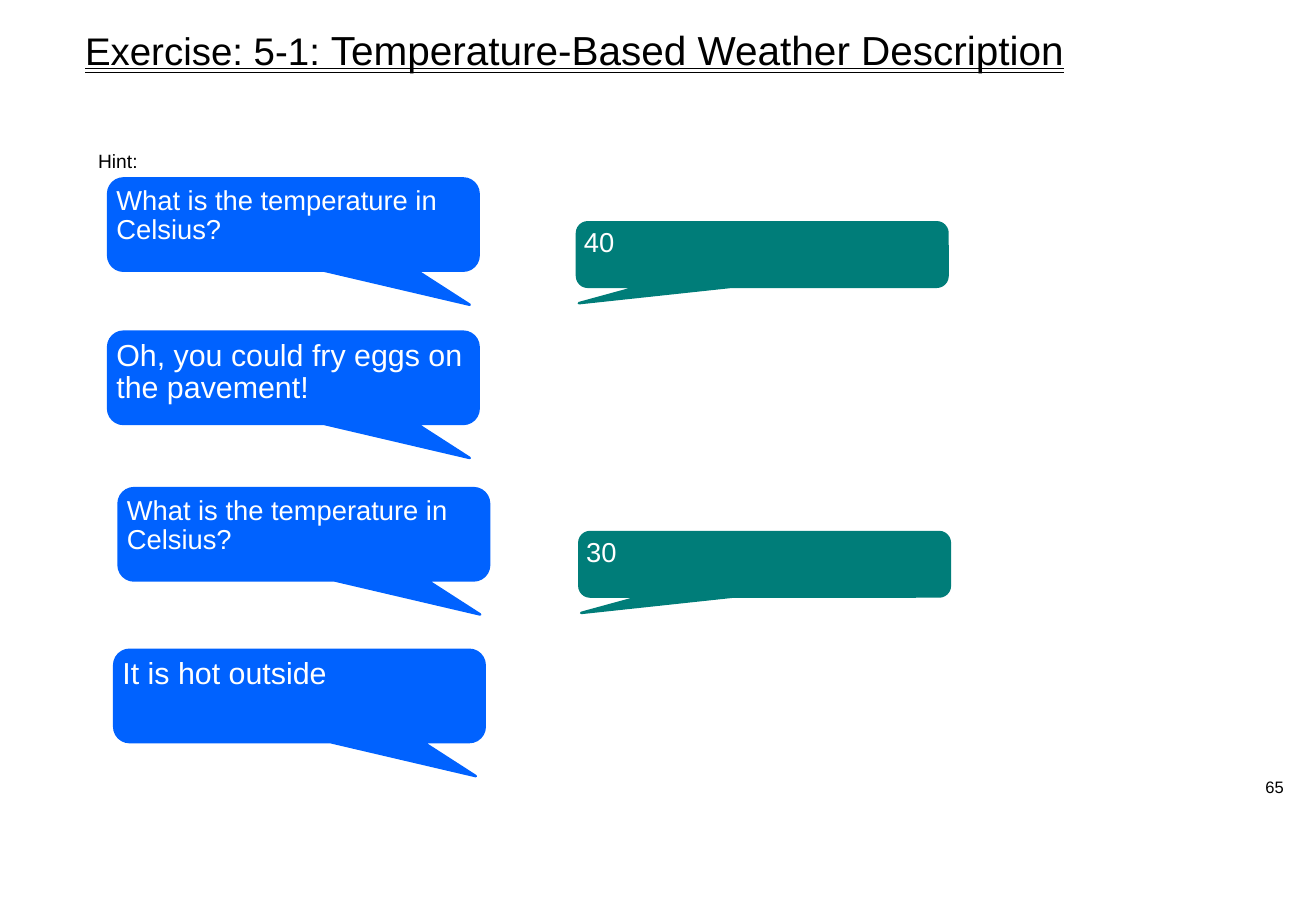
"""Build the temperature-based weather description exercise slide."""
import pptx
import pptx.dml.color
import pptx.enum.shapes
import pptx.enum.text
import pptx.util
from dataclasses import dataclass

Pt = pptx.util.Pt
ALIGN = pptx.enum.text.PP_ALIGN
ANCHOR = pptx.enum.text.MSO_ANCHOR

TITLE = ["Exercise: 5-1: ", "Temperature-Based Weather Description"]
HINT = "Hint:"
PAGE_NUMBER = "65"
QUESTION = "What is the temperature in Celsius?"
DIALOGUE = [
    ("prompt", QUESTION, 64.1, 105.8),
    ("answer", "40", 342, 131.8),
    ("reply", "Oh, you could fry eggs on the pavement!", 64.1, 196.6),
    ("prompt", QUESTION, 70.3, 289.4),
    ("answer", "30", 343.4, 315.4),
    ("reply", "It is hot outside", 67.7, 385.2),
]


@dataclass(frozen=True)
class Theme:
    font: str = "Arial"
    ink: str = "000000"
    paper: str = "FFFFFF"
    computer: str = "0062FF"
    user: str = "007D79"
    title_sizes: tuple = (22.8, 24)
    dialogue_size: float = 16.2
    reply_size: float = 18
    hint_size: float = 11.4
    number_size: float = 9.8
    line_spacing: float = 0.9


THEME = Theme()
BUBBLE_WIDTH = 219.6
COMPUTER_BUBBLE = {"color": THEME.computer, "height": 54.7, "tail": (0.476, 0.869, 0.167)}
USER_BUBBLE = {"color": THEME.user, "height": 38.2, "tail": (-0.495, 0.755, 0.167)}
BUBBLES = {
    "prompt": {**COMPUTER_BUBBLE, "size": THEME.dialogue_size},
    "reply": {**COMPUTER_BUBBLE, "size": THEME.reply_size},
    "answer": {**USER_BUBBLE, "size": THEME.dialogue_size},
}


def rgb(color):
    """Return a colour object for a hex string."""
    return pptx.dml.color.RGBColor.from_string(color)


def apply(target, values):
    """Set each named value on the target."""
    for name, value in values.items():
        setattr(target, name, value)


def write(shape, runs, color, inset=None, anchor=ANCHOR.TOP, align=ALIGN.LEFT,
          spacing=None, wrap=True, underline=None):
    """Write one paragraph of (text, size) runs into a shape."""
    tf = shape.text_frame
    apply(tf, {"word_wrap": wrap, "vertical_anchor": anchor,
               "auto_size": pptx.enum.text.MSO_AUTO_SIZE.NONE})
    if inset is not None:
        sides = ("left", "top", "right", "bottom")
        apply(tf, {f"margin_{side}": Pt(inset) for side in sides})
    p = tf.paragraphs[0]
    apply(p, {"alignment": align, "line_spacing": spacing})
    for text, size in runs:
        r = p.add_run()
        r.text = text
        apply(r.font, {"name": THEME.font, "size": Pt(size), "underline": underline})
        r.font.color.rgb = rgb(color)


def add_bubble(s, kind, text, left, top):
    """Add one speech bubble of the dialogue."""
    style = BUBBLES[kind]
    sp = s.shapes.add_shape(
        pptx.enum.shapes.MSO_SHAPE.ROUNDED_RECTANGULAR_CALLOUT,
        Pt(left), Pt(top), Pt(BUBBLE_WIDTH), Pt(style["height"]))
    for i, value in enumerate(style["tail"]):
        sp.adjustments[i] = value
    sp.shadow.inherit = False
    sp.fill.solid()
    for part in (sp.fill.fore_color, sp.line.color):
        part.rgb = rgb(style["color"])
    sp.line.width = Pt(1.5)
    write(sp, [(text, style["size"])], THEME.paper, inset=2.2, spacing=THEME.line_spacing)


def main():
    """Build and save the slide."""
    prs = pptx.Presentation()
    apply(prs, {"slide_width": Pt(780), "slide_height": Pt(540)})
    s = prs.slides.add_slide(prs.slide_layouts.get_by_name("Title Only"))

    title = s.shapes.title
    apply(title, {"left": Pt(50.4), "top": Pt(18), "width": Pt(672.5), "height": Pt(45.4)})
    write(title, zip(TITLE, THEME.title_sizes), THEME.ink, inset=0,
          spacing=THEME.line_spacing,
          underline=pptx.enum.text.MSO_UNDERLINE.DOUBLE_LINE)

    for line in DIALOGUE:
        add_bubble(s, *line)

    hint = s.shapes.add_textbox(Pt(51.1), Pt(85), Pt(47.5), Pt(20.9))
    write(hint, [(HINT, THEME.hint_size)], THEME.ink)

    number = s.shapes.add_textbox(Pt(604.8), Pt(459.4), Pt(156.2), Pt(14.4))
    write(number, [(PAGE_NUMBER, THEME.number_size)], THEME.ink, inset=0,
          anchor=ANCHOR.MIDDLE, align=ALIGN.RIGHT)

    prs.save("out.pptx")


if __name__ == "__main__":
    main()
